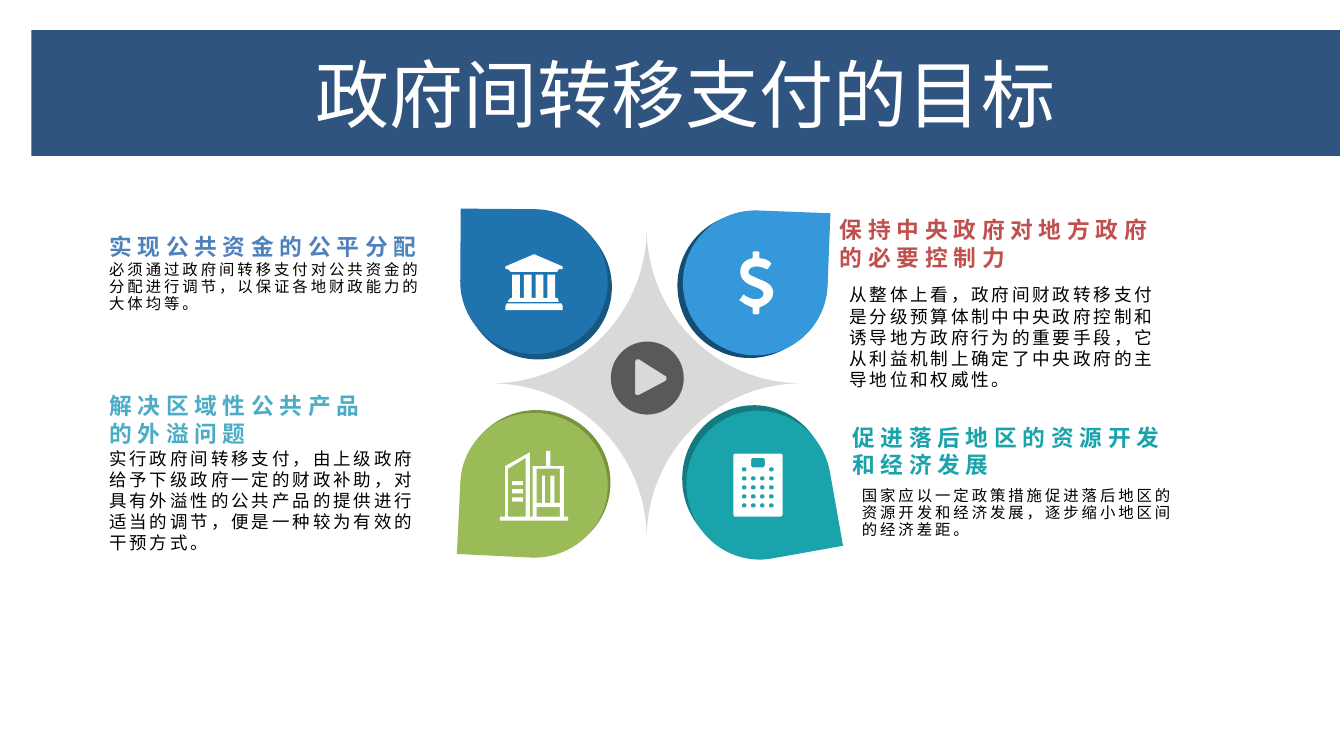
from math import cos, pi, sin

from pptx import Presentation
from pptx.dml.color import RGBColor
from pptx.enum.shapes import MSO_SHAPE as SHAPE
from pptx.enum.text import MSO_ANCHOR as ANCHOR, MSO_AUTO_SIZE as AUTOSIZE, PP_ALIGN as ALIGN
from pptx.oxml.ns import qn
from pptx.util import Inches, Pt

WIDTH, HEIGHT = Inches(9.84), Inches(5.51)
COL, ROW = WIDTH / 984, HEIGHT / 551  # fine layout grid
CJK = "Noto Sans CJK SC"
WHITE = "FFFFFF"

# heading lines, place and colour, then body place, size, line spacing and text
GOALS = [
    (["实现公共资金的公平分配"], (73, 158), "4F81BD", (73, 192), 8.1, 0.92,
     "必须通过政府间转移支付对公共资金的分配进行调节，以保证各地财政能力的大体均等。"),
    (["保持中央政府对地方政府", "的必要控制力"], (608, 166), "C0504D", (615, 208), 9.3, 1.0,
     "从整体上看，政府间财政转移支付是分级预算体制中中央政府控制和诱导地方政府行为的重要手段，"
     "它从利益机制上确定了中央政府的主导地位和权威性。"),
    (["解决区域性公共产品", "的外溢问题"], (73, 295), "4BACC6", (73, 328), 9.2, 1.0,
     "实行政府间转移支付，由上级政府给予下级政府一定的财政补助，对具有外溢性的公共产品的提供"
     "进行适当的调节，便是一种较为有效的干预方式。"),
    (["促进落后地区的资源开发", "和经济发展"], (617, 318), "1AA3AA", (624, 357), 8.1, 0.92,
     "国家应以一定政策措施促进落后地区的资源开发和经济发展，逐步缩小地区间的经济差距。"),
]

# rotation, size, then place and colour of the back and front drop
PETALS = [
    (270.4, (106, 108), (341, 156), "175782", (338, 152), "1F74AD"),
    (2.2, (106, 106), (496, 156), "144D73", (500, 154), "3498DB"),
    (182.8, (108, 106), (339, 300), "77933C", (337, 302), "9BBB59"),
    (79.9, (109, 106), (498, 298), "147A7F", (501, 302), "1AA3AA"),
]


def rgb(hex_colour):
    return RGBColor.from_string(hex_colour)


def cells(x, y, w, h):
    return round(x * COL), round(y * ROW), round(w * COL), round(h * ROW)


def paint(sp, colour):
    sp.fill.solid()
    sp.fill.fore_color.rgb = rgb(colour)
    sp.line.fill.background()
    sp.shadow.inherit = False


def write(p, text, size, colour, font=CJK, bold=False, spacing=0, line=1.0, align=ALIGN.LEFT):
    p.alignment, p.line_spacing = align, line
    r = p.add_run()
    r.text = text
    r.font.size, r.font.bold, r.font.name = Pt(size), bold, font
    r.font.color.rgb = rgb(colour)
    rPr = r._r.get_or_add_rPr()
    rPr.set("spc", str(round(spacing * 100)))
    ea = rPr.makeelement(qn("a:ea"), {"typeface": CJK})
    rPr.find(qn("a:latin")).addnext(ea)


def add_text(s, place, extent, lines, anchor=ANCHOR.TOP, **fmt):
    tf = s.shapes.add_textbox(*cells(*place, *extent)).text_frame
    tf.word_wrap, tf.auto_size, tf.vertical_anchor = True, AUTOSIZE.NONE, anchor
    tf.margin_left, tf.margin_right = Inches(0.07), Inches(0.05)
    tf.margin_top = tf.margin_bottom = 0
    for i, text in enumerate(lines):
        write(tf.add_paragraph() if i else tf.paragraphs[0], text, **fmt)


def add_preset(s, kind, place, extent, colour, rotation=0):
    sp = s.shapes.add_shape(kind, *cells(*place, *extent))
    sp.rotation = rotation
    paint(sp, colour)
    return sp


def add_outline(s, contours, colour):
    contours = [[(round(x * COL), round(y * ROW)) for x, y in c] for c in contours]
    builder = s.shapes.build_freeform(*contours[0][0])
    for i, points in enumerate(contours):
        if i:
            builder.move_to(*points[0])
        builder.add_line_segments(points[1:], close=True)
    paint(builder.convert_to_shape(), colour)


def box(x, y, w, h, cut=0):
    """Rectangle, with its corners cut when asked."""
    r, b = x + w, y + h
    return [(x + cut, y), (r - cut, y), (r, y + cut), (r, b - cut),
            (r - cut, b), (x + cut, b), (x, b - cut), (x, y + cut)]


def trace(start, *parts):
    """Points along lines (x, y) and cubic curves (two controls and an end)."""
    points = [start]
    for part in parts:
        if len(part) == 2:
            points.append(part)
            continue
        xs, ys = ((points[-1][k], *part[k::2]) for k in (0, 1))
        for t in (n / 8 for n in range(1, 9)):
            u = 1 - t
            weights = (u ** 3, 3 * u * u * t, 3 * u * t * t, t ** 3)
            points.append(tuple(sum(w * v for w, v in zip(weights, vs)) for vs in (xs, ys)))
    return points


def play_icon():
    circle = [(474 + 26.7 * cos(n * pi / 36), 276.7 + 26.7 * sin(n * pi / 36)) for n in range(72)]
    triangle = trace((488, 277), (488, 276, 488, 275, 487, 275), (468, 263),
                     (468, 263, 467, 263, 466, 263), (465, 264, 465, 265, 465, 265), (465, 287),
                     (465, 288, 465, 289, 466, 289), (468, 289), (487, 279),
                     (488, 278, 488, 278, 488, 277))
    return [circle, triangle]


def bank_icon():
    roof = [(391, 186), (412, 195), (412, 197), (409, 197), (408, 199),
            (374, 199), (372, 197), (370, 197), (370, 195)]
    step = [(371, 222), (411, 222), (412, 224), (412, 227), (370, 227), (370, 224)]
    hall = [(372, 221), (372, 220), (374, 218)]
    for n in range(4):
        x = 375 + 8.6 * n
        hall += [(x, 218), (x, 201), (x + 5.6, 201), (x + 5.6, 218)]
    return [roof, step, hall + [(408, 218), (409, 220), (409, 221)]]


def dollar_icon():
    return [trace(
        (556, 225), (556, 229), (555, 230), (552, 230), (551, 229), (551, 225),
        (545, 223, 542, 220, 542, 220), (541, 220, 541, 219, 542, 219), (544, 216),
        (544, 216, 545, 215, 545, 216), (545, 216, 549, 219, 553, 219),
        (556, 219, 559, 218, 559, 215), (559, 212, 555, 211, 553, 210),
        (547, 208, 542, 205, 542, 199), (542, 194, 545, 190, 551, 189), (551, 184.5),
        (552, 184), (555, 184), (556, 184.5), (556, 189), (561, 189, 564, 192, 564, 192),
        (565, 193, 565, 193, 564, 194), (562, 197), (561, 197),
        (561, 197, 558, 195, 554, 195), (550, 195, 548, 197, 548, 199),
        (548, 202, 552, 202, 555, 204), (560, 206, 566, 208, 566, 214),
        (566, 220, 561, 223, 556, 225))]


def calculator_icon():
    keys = [box(543.3 + 6.6 * c, 342 + 6.6 * r, 3.3, 3, 0.7)
            for r in range(5) for c in range(4) if r or c in (0, 3)]
    return [box(537, 332, 36, 46, 1), box(550, 335, 10, 7, 1)] + keys


def building_icon():
    walls = [(416, 381), (366, 381), (366, 378), (370, 378), (370, 341), (388, 331), (388, 378),
             (390, 378), (390, 341), (400, 341), (400, 330), (403, 330), (403, 341), (413, 341),
             (413, 378), (416, 378)]
    tower = [(385, 335), (372, 343), (372, 378), (385, 378)]
    front = [(410, 343), (393, 343), (393, 368), (397, 368), (397, 348), (399, 348), (399, 368),
             (403, 368), (403, 348), (406, 348), (406, 368), (410, 368)]
    floors = [box(375, 352 + 6 * n, 8, 3) for n in range(3)]
    return [walls, tower, front, box(393, 371, 17, 7)] + floors


def add_title(s, text):
    title = s.shapes.title
    title.left, title.top, title.width, title.height = cells(23, 22, 958, 92)
    paint(title, "305480")
    tf = title.text_frame
    tf.auto_size, tf.vertical_anchor = AUTOSIZE.NONE, ANCHOR.MIDDLE
    write(tf.paragraphs[0], text, 39, WHITE, font="Calibri", align=ALIGN.CENTER)


def main():
    prs = Presentation()
    prs.slide_width, prs.slide_height = WIDTH, HEIGHT
    s = prs.slides.add_slide(prs.slide_layouts[5])
    add_title(s, "政府间转移支付的目标")
    # Central star with the play button
    star = add_preset(s, SHAPE.PLAQUE, (360, 167), (227, 227), "D9D9D9")
    star.adjustments[0] = 0.5
    add_outline(s, play_icon(), "595959")
    # Four petals, each with its icon
    icons = [bank_icon(), dollar_icon(), building_icon(), calculator_icon()]
    for (turn, extent, back, dark, front, light), icon in zip(PETALS, icons):
        add_preset(s, SHAPE.TEAR, back, extent, dark, turn)
        add_preset(s, SHAPE.TEAR, front, extent, light, turn)
        add_outline(s, icon, WHITE)
    # Goals: heading and explanation
    for heading, head_at, colour, body_at, size, line, body in GOALS:
        add_text(s, body_at, (244, 51), [body], size=size, colour="000000", spacing=1.5, line=line)
        add_text(s, head_at, (244, 32), heading, ANCHOR.BOTTOM,
                 size=12, colour=colour, bold=True, spacing=3)
    prs.save("out.pptx")


if __name__ == "__main__":
    main()
